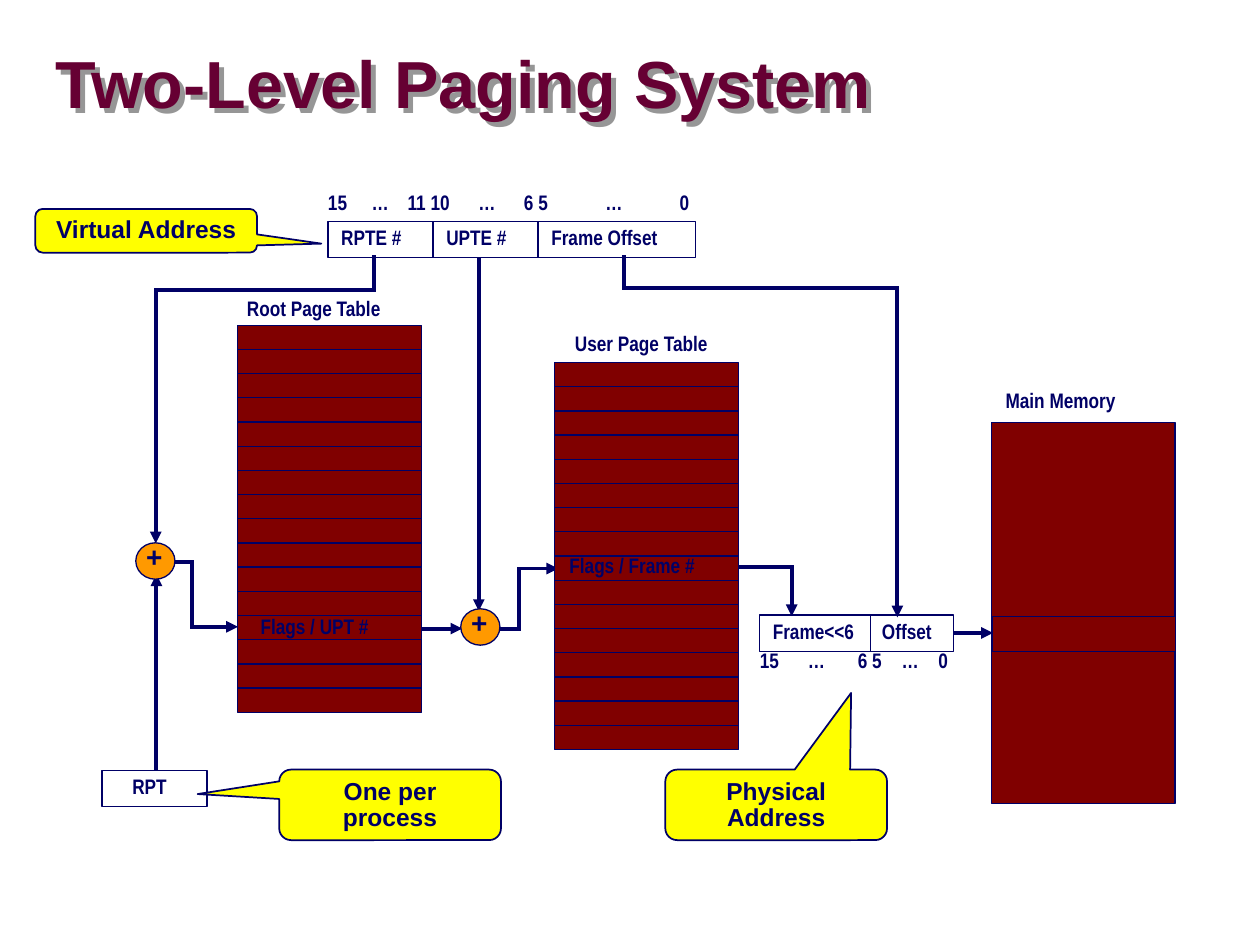
from dataclasses import dataclass
from itertools import pairwise
from typing import Any

from lxml import etree
from pptx import Presentation
from pptx import util as u
from pptx.dml import color
from pptx.enum import shapes, text
from pptx.oxml import ns

COLORS = {
    "navy": "000066",
    "maroon": "800000",
    "title": "660033",
    "shadow": "969696",
    "yellow": "FFFF00",
    "orange": "FF9900",
}
RECT = shapes.MSO_SHAPE.RECTANGLE
OVAL = shapes.MSO_SHAPE.OVAL
CALLOUT = shapes.MSO_SHAPE.ROUNDED_RECTANGULAR_CALLOUT
ROWS, ROW_HEIGHT, TABLE_WIDTH = 16, 13.82, 105.1
FIELD_HEIGHT = 20.8


def rgb(name):
    return color.RGBColor.from_string(COLORS[name])


def add_element(parent, tag, **attributes):
    return etree.SubElement(parent, ns.qn(tag), attributes)


@dataclass
class Diagram:
    slide: Any
    ink: str = "navy"
    heading_font: str = "Arial"
    label_font: str = "Arial Narrow"

    def add_span(self, para, words, size, font, ink, spacing=0.9):
        para.line_spacing = spacing
        span = para.add_run()
        span.text = words
        span.font.size = u.Pt(size)
        span.font.name = font
        span.font.bold = True
        span.font.color.rgb = rgb(ink)

    def set_frame(self, frame, side=0, end=0, anchor=text.MSO_ANCHOR.TOP):
        frame.word_wrap = True
        frame.auto_size = text.MSO_AUTO_SIZE.NONE
        frame.vertical_anchor = anchor
        frame.margin_left = frame.margin_right = u.Pt(side)
        frame.margin_top = frame.margin_bottom = u.Pt(end)
        return frame.paragraphs[0]

    def title(self, words):
        box = self.slide.shapes.title
        box.left, box.top, box.width, box.height = map(u.Pt, (31.7, 19.4, 676, 61.2))
        para = self.set_frame(box.text_frame, anchor=text.MSO_ANCHOR.MIDDLE)
        para.alignment = text.PP_ALIGN.LEFT
        self.add_span(para, words, 38, self.heading_font, "title", 0.87)
        effects = add_element(box.element.spPr, "a:effectLst")
        shadow = add_element(effects, "a:outerShdw", dist=str(u.Pt(4)),
                             dir="2700000", algn="ctr", rotWithShape="0")
        add_element(shadow, "a:srgbClr", val=COLORS["shadow"])

    def shape(self, kind, left, top, width, height, fill=None, line=0.75):
        box = self.slide.shapes.add_shape(kind, *map(u.Pt, (left, top, width, height)))
        box.shadow.inherit = False
        if fill:
            box.fill.solid()
            box.fill.fore_color.rgb = rgb(fill)
        else:
            box.fill.background()
        box.line.color.rgb = rgb(self.ink)
        box.line.width = u.Pt(line)
        return box

    def label(self, words, left, top, width, tabs=()):
        box = self.slide.shapes.add_textbox(*map(u.Pt, (left, top, width, 13)))
        para = self.set_frame(box.text_frame)
        if tabs:
            stops = add_element(para._p.get_or_add_pPr(), "a:tabLst")
            for stop in tabs:
                add_element(stops, "a:tab", pos=str(u.Pt(stop)), algn="l")
        self.add_span(para, words, 12, self.label_font, self.ink)

    def field(self, words, left, top, width, indent=7.6):
        self.shape(RECT, left, top, width, FIELD_HEIGHT)
        self.label(words, left + indent, top + 3.3, width)

    def page_table(self, left, top):
        for row in range(ROWS):
            self.shape(RECT, left, top + row * ROW_HEIGHT, TABLE_WIDTH, ROW_HEIGHT, "maroon")

    def adder(self, left, top):
        self.shape(OVAL, left, top, 22.4, 20.8, "orange")
        box = self.slide.shapes.add_textbox(*map(u.Pt, (left - 1.2, top - 3.2, 37.4, 24.5)))
        para = self.set_frame(box.text_frame, 7.2, 3.6)
        self.add_span(para, "+", 16, self.heading_font, self.ink)

    def callout(self, words, left, top, height, tip):
        box = self.shape(CALLOUT, left, top, 126.7, height, "yellow", 1)
        for index, value in enumerate((*tip, 0.167)):
            box.adjustments[index] = value
        para = self.set_frame(box.text_frame, 7.2, 3.6)
        para.alignment = text.PP_ALIGN.CENTER
        self.add_span(para, words, 14, self.heading_font, self.ink)

    def route(self, *points):
        for start, stop in pairwise(points):
            line = self.slide.shapes.add_connector(
                shapes.MSO_CONNECTOR.STRAIGHT, *map(u.Pt, (*start, *stop)))
            line.line.color.rgb = rgb(self.ink)
            line.line.width = u.Pt(2.25)
            outline = line.line._get_or_add_ln()
            if stop == points[-1]:
                add_element(outline, "a:tailEnd", type="triangle")
            else:
                outline.set("cap", "sq")
            add_element(line.element.spPr, "a:effectLst")


def main():
    deck = Presentation()
    deck.slide_width, deck.slide_height = u.Pt(720), u.Pt(540)
    page = Diagram(deck.slides.add_slide(deck.slide_layouts[5]))
    page.title("Two-Level Paging System")

    page.label("15\t…\t11 10\t…\t6 5\t…\t0", 187.4, 110, 217.4,
               (25, 45.5, 86, 112, 158.5, 201))
    for words, left, width in (("RPTE #", 187.4, 60), ("UPTE #", 247.4, 60),
                               ("Frame Offset", 307.4, 90)):
        page.field(words, left, 126.5, width)
    page.callout("Virtual Address", 20.2, 119.4, 25, (0.79, 0.294))

    page.route((213.8, 147), (213.8, 165.6), (89, 165.6), (89, 310.5))
    page.route((273.6, 147), (273.6, 349.2))
    page.route((356.4, 147), (356.4, 164.8), (512.8, 164.8), (512.8, 352.8))
    page.route((89.4, 440.4), (89.4, 328.2))
    page.route((96.5, 321.1), (109.7, 321.1), (109.7, 358.2), (136, 358.2))
    page.route((241.2, 359.2), (264.2, 359.2))
    page.route((285.8, 359.2), (296.8, 359.2), (296.8, 324.9), (319, 324.9))
    page.route((420, 324), (452.4, 324), (452.4, 352.1))

    page.page_table(135.9, 185.9)
    page.page_table(316.9, 207.2)
    page.label("Root Page Table", 141.1, 170.4, 98)
    page.label("User Page Table", 328.5, 190.3, 98)
    page.label("Flags / UPT #", 148.9, 352, 83.5)
    page.label("Flags / Frame #", 325.4, 317.5, 95)
    page.adder(77.6, 310.2)
    page.adder(263.3, 347.9)

    page.field("RPT", 58.3, 440.2, 60, 17.3)
    page.callout("One per process", 159.6, 439.8, 40.3, (-0.868, -0.153))

    page.shape(RECT, 566.6, 241.6, 104.8, 217.4, "maroon")
    page.shape(RECT, 567, 352.2, 104.6, 20.2, "maroon")
    page.label("Main Memory", 574.6, 223.2, 90)
    page.field("Frame<<6", 434, 351.5, 63.6)
    page.field("Offset", 497.6, 351.5, 47.4, 6.4)
    page.label("15\t…\t6 5\t…\t0", 434.2, 371.5, 113.8, (27.5, 56, 81, 102))
    page.route((545, 361.7), (567.4, 361.7))
    page.callout("Physical Address", 380.2, 439.8, 40.3, (0.338, -1.587))

    deck.save("out.pptx")


if __name__ == "__main__":
    main()
